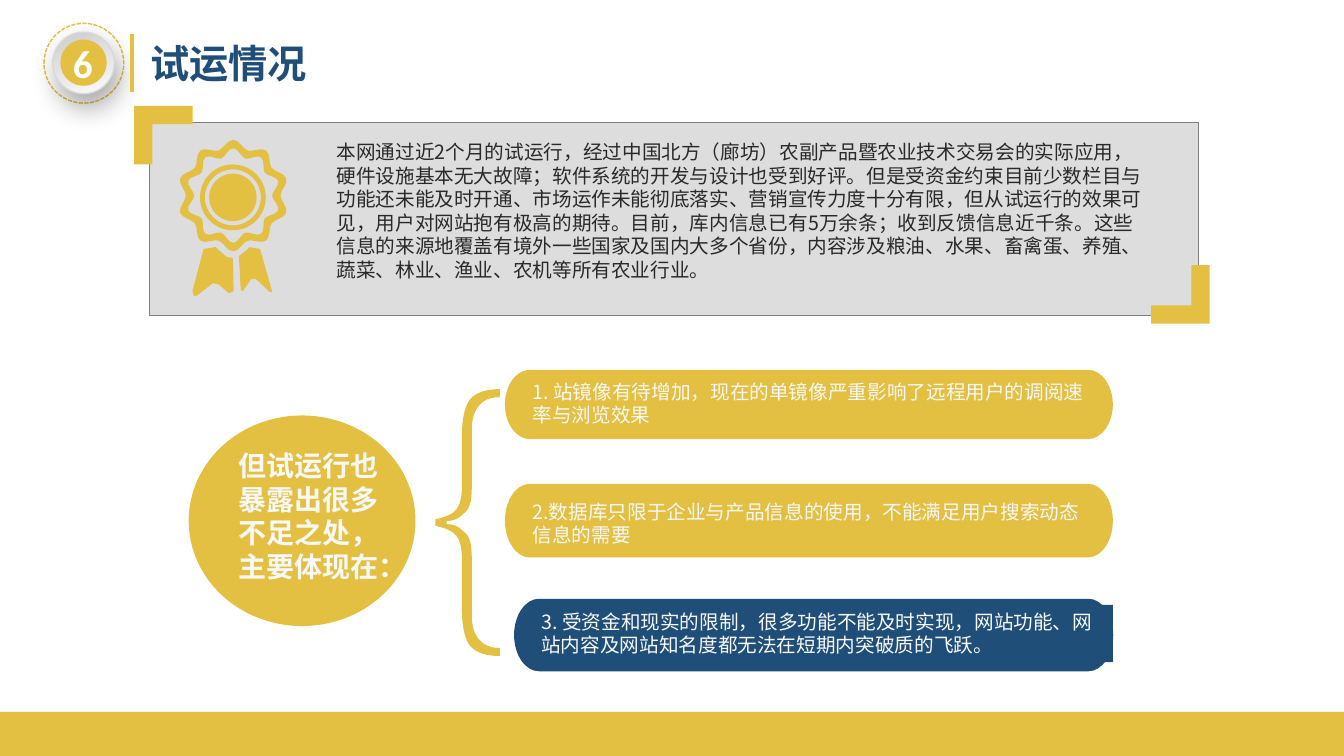
from math import cos, pi, sin, tan
from lxml import etree
from pptx import Presentation
from pptx.dml.color import RGBColor
from pptx.enum import dml, shapes, text
from pptx.oxml import ns
from pptx.util import Pt


class Theme:
    gold, navy, panel, edge = "E3BF42", "1F4E79", "DDDDDD", "808080"
    ink, pale, white, rim = "292929", "F8F8F8", "FFFFFF", "D9D9D9"
    metal = "CCCCCC", "FCFCFC"
    cjk, digit = "Noto Sans CJK SC", "Calibri"
    title, lead, body = 28, 20, 14
    leading = 1.2


NUMBER, TITLE = "6", "试运情况"
SUMMARY = (
    "本网通过近2个月的试运行，经过中国北方（廊坊）农副产品暨农业技术交易会的实际应用，"
    "硬件设施基本无大故障；软件系统的开发与设计也受到好评。但是受资金约束目前少数栏目与"
    "功能还未能及时开通、市场运作未能彻底落实、营销宣传力度十分有限，但从试运行的效果可"
    "见，用户对网站抱有极高的期待。目前，库内信息已有5万余条；收到反馈信息近千条。这些"
    "信息的来源地覆盖有境外一些国家及国内大多个省份，内容涉及粮油、水果、畜禽蛋、养殖、"
    "蔬菜、林业、渔业、农机等所有农业行业。")
LEAD = "但试运行也暴露出很多不足之处，主要体现在："
# wording, fill, pill box, text box, whether the text box is filled
ISSUES = [
    ("1. 站镜像有待增加，现在的单镜像严重影响了远程用户的调阅速率与浏览效果",
     Theme.gold, (360.7, 264.2, 434.2, 49.5), (373.3, 267.8, 421.2, 41), False),
    ("2.数据库只限于企业与产品信息的使用，不能满足用户搜索动态信息的需要",
     Theme.gold, (360.7, 345.6, 434.2, 52.6), (373.3, 353.5, 409, 41), False),
    ("3. 受资金和现实的限制，很多功能不能及时实现，网站功能、网站内容及网站知名度都无法在短期内突破质的飞跃。",
     Theme.navy, (367.2, 427.7, 428, 51.8), (379.6, 432, 415.3, 41), True),
]
RIBBONS = [
    [(185.8, 177.8), (178, 176.5), (176.4, 178.5), (170.7, 183), (172, 207),
     (173.5, 208), (179.3, 199.5), (182.5, 199), (193, 208.8), (194.5, 208.5)],
    [(166.3, 184.3), (162, 183.5), (156, 178.5), (154, 176.4), (151, 177),
     (145.5, 177.8), (137.5, 208), (138.5, 211.5), (141, 211),
     (152, 202.3), (156, 203), (163.5, 209.5), (167, 208)],
]
# upper half of the brace: each entry is one point or three cubic points
BRACE = [
    [(311, 371)], [(318, 369.5), (323, 367.5), (326, 364)],
    [(328.5, 361), (330, 355), (330, 347)], [(330, 311)],
    [(330, 299), (332, 290), (336, 285)], [(340.5, 280), (348, 278), (357, 278)],
    [(357, 283.7)], [(350, 283.7), (345, 286), (342, 290)],
    [(338.5, 294), (337, 300), (337, 307.5)], [(337, 349)],
    [(337, 358), (335.5, 364), (331, 367)], [(327.5, 371), (323, 372.2), (319, 372.2)],
]
BRACE_MID = 373.3

deck = Presentation()
deck.slide_width, deck.slide_height = Pt(960), Pt(540)
slide = deck.slides.add_slide(deck.slide_layouts[6])


def rgb(code):
    return RGBColor.from_string(code)


def paint(shape, fill=None, line=None, width=1):
    shape.shadow.inherit = False
    if fill:
        shape.fill.solid()
        shape.fill.fore_color.rgb = rgb(fill)
    else:
        shape.fill.background()
    if line:
        shape.line.color.rgb = rgb(line)
        shape.line.width = Pt(width)
    else:
        shape.line.fill.background()
    return shape


def preset(kind, box, *style):
    return paint(slide.shapes.add_shape(kind, *map(Pt, box)), *style)


def outline(loops, fill):
    """Fill closed loops; a loop lists parts of one point (line) or three (cubic)."""
    pen = None
    for loop in loops:
        spots = [(Pt(x), Pt(y)) for part in loop for x, y in part]
        if pen:
            pen.move_to(*spots[0])
        else:
            pen = slide.shapes.build_freeform(*spots[0], scale=1.0)
        pen.add_line_segments(spots[1:], close=False)
    shape = paint(pen.convert_to_shape(), fill)
    track = shape._element.spPr.find(".//" + ns.qn("a:path"))
    dots = iter([step[0] for step in track])
    for step in list(track):
        track.remove(step)
    for loop in loops:
        for i, part in enumerate(loop):
            kind = "cubicBezTo" if len(part) == 3 else "lnTo" if i else "moveTo"
            step = etree.SubElement(track, ns.qn("a:" + kind))
            for _ in part:
                step.append(next(dots))
        etree.SubElement(track, ns.qn("a:close"))


def write(box, words, size, color, bold=False, font=Theme.cjk, wrap=True,
          align=text.PP_ALIGN.LEFT):
    label = slide.shapes.add_textbox(*map(Pt, box))
    label.text_frame.word_wrap = wrap
    para = label.text_frame.paragraphs[0]
    para.text, para.alignment = words, align
    if font == Theme.cjk:
        para.line_spacing = Pt(round(size * Theme.leading, 1))
    face = para.font
    face.size, face.bold, face.name = Pt(size), bold, font
    face.color.rgb = rgb(color)
    east = etree.SubElement(para._p.pPr.find(ns.qn("a:defRPr")), ns.qn("a:ea"))
    east.set("typeface", font)
    return label


def ring(x, y, radius, wave=0, arcs=4):
    """Circle of cubic arcs whose nodes lie wave further out and in by turns."""
    gap = 2 * pi / arcs
    pull = 4 / 3 * tan(gap / 4)

    def node(i, way):
        t, r = i * gap, radius + wave * (-1) ** i
        return (x + r * (sin(t) + way * pull * cos(t)),
                y - r * (cos(t) - way * pull * sin(t)))

    return [[node(0, 0)]] + [[node(i, 1), node(i + 1, -1), node(i + 1, 0)]
                             for i in range(arcs)]


def pill(x, y, w, h, cap=17.8):
    """Bar with half-ellipse ends."""
    k, mid, low, end = 0.45, y + h / 2, y + h, x + w
    a, b, up, down = x + cap, end - cap, y + h / 2 * k, low - h / 2 * k
    return [[(a, y)], [(b, y)],
            [(b + cap * (1 - k), y), (end, up), (end, mid)],
            [(end, down), (b + cap * (1 - k), low), (b, low)], [(a, low)],
            [(x + cap * k, low), (x, down), (x, mid)],
            [(x, up), (x + cap * k, y), (a, y)]]


def mirror(parts, mid):
    """Continue the parts back along their reflection below mid."""
    spots = [(x, 2 * mid - y) for part in parts for x, y in part][::-1]
    out, at = [spots[:1]], 1
    for part in parts[:0:-1]:
        out.append(spots[at:at + len(part)])
        at += len(part)
    return parts + out


def badge():
    oval = shapes.MSO_SHAPE.OVAL
    dash = preset(oval, (31.4, 16.7, 57, 57), None, Theme.gold)
    dash.line.dash_style = dml.MSO_LINE.SQUARE_DOT
    disc = preset(oval, (37.7, 23, 44, 44), Theme.white, Theme.rim)
    disc.fill.gradient()
    disc.fill.gradient_angle = 290
    for stop, code, at in zip(disc.fill.gradient_stops, Theme.metal, (0, 1)):
        stop.color.rgb, stop.position = rgb(code), at
    glow = disc._element.spPr.find(ns.qn("a:effectLst"))
    cast = etree.SubElement(glow, ns.qn("a:outerShdw"), blurRad=str(Pt(20)),
                            dist=str(Pt(10)), dir="4200000", rotWithShape="0")
    tint = etree.SubElement(cast, ns.qn("a:srgbClr"), val="000000")
    etree.SubElement(tint, ns.qn("a:alpha"), val="34000")
    preset(oval, (43.2, 28.3, 33, 33), Theme.gold)
    write((44.6, 24.5, 29, 41), NUMBER, Theme.title, Theme.white, True,
          Theme.digit, False, text.PP_ALIGN.CENTER)


def corner(x, y, way, size=41.8, arm=13):
    steps = [(0, 0), (size, 0), (size, arm), (arm, arm), (arm, size), (0, size)]
    outline([[[(x + way * a, y + way * b)] for a, b in steps]], Theme.gold)


def main():
    rect = shapes.MSO_SHAPE.RECTANGLE
    preset(rect, (0, 508.4, 960, 31.6), Theme.gold)
    badge()
    write((100.1, 24.5, 127.4, 41), TITLE, Theme.title, Theme.navy, True, wrap=False)
    preset(rect, (93.2, 24.5, 2, 41), Theme.gold, Theme.gold)

    preset(rect, (106.6, 87.3, 749.5, 138.2), Theme.panel, Theme.edge, 0.75)
    write((233.3, 96.5, 594.7, 108.7), SUMMARY, Theme.body, Theme.ink)
    corner(95.8, 75.6, 1)
    corner(864, 231.2, -1)
    scallops = [ring(166.6, 139.7, r, 3, 20) for r in (36.8, 30.8)]
    circles = [ring(166.4, 141, r) for r in (23.5, 20, 17)]
    tails = [[[spot] for spot in tail] for tail in RIBBONS]
    outline(scallops + circles + tails, Theme.gold)

    outline([mirror(BRACE, BRACE_MID)], Theme.gold)
    preset(shapes.MSO_SHAPE.OVAL, (134.8, 296.8, 162, 150.4), Theme.gold)
    write((156.2, 316.8, 128.9, 104.4), LEAD, Theme.lead, Theme.pale, True,
          align=text.PP_ALIGN.CENTER)
    for words, fill, bar, box, solid in ISSUES:
        outline([pill(*bar)], fill)
        paint(write(box, words, Theme.body, Theme.pale), fill if solid else None)
    deck.save("out.pptx")


if __name__ == "__main__":
    main()
